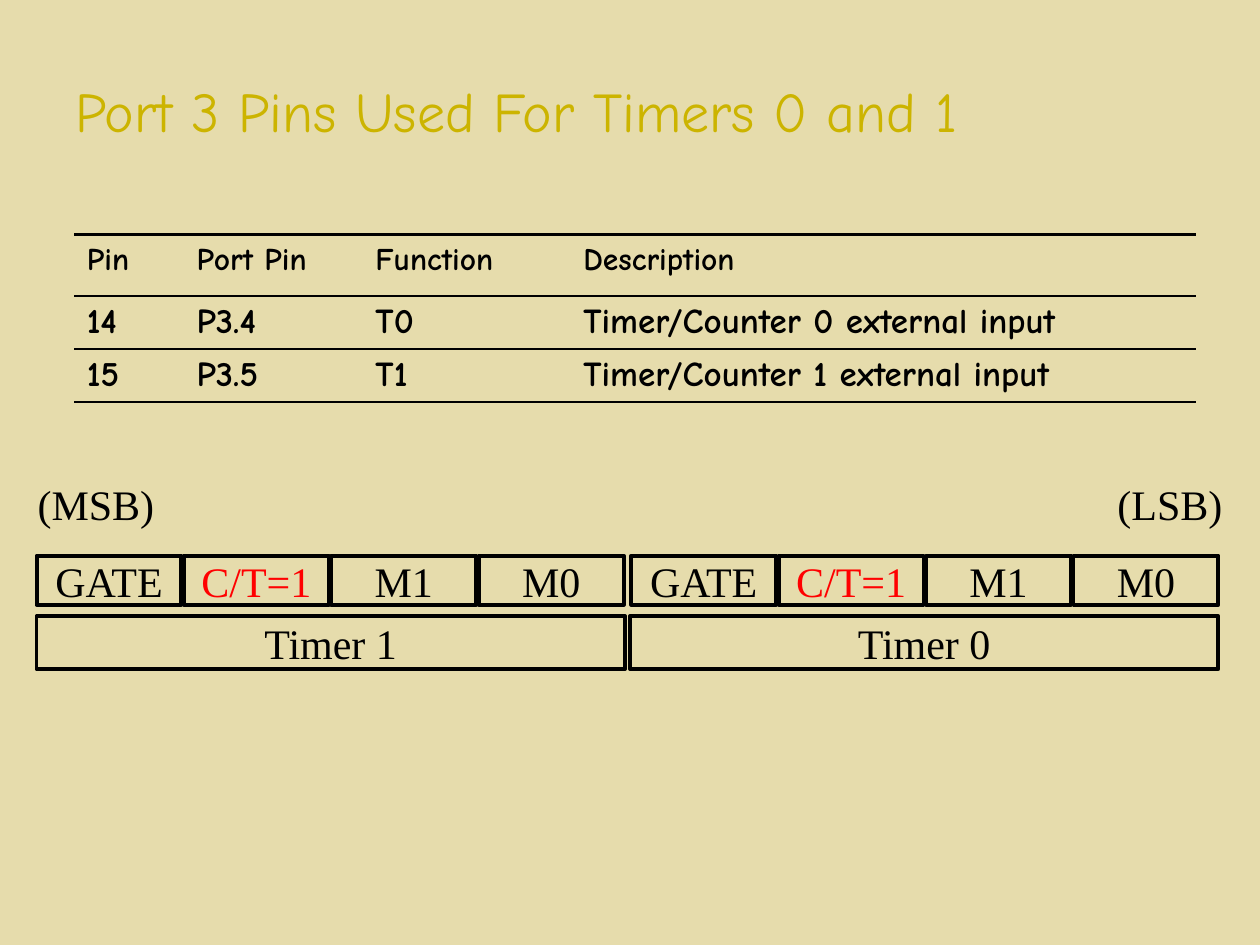
from lxml.etree import SubElement
from pptx import Presentation
from pptx.dml.color import RGBColor
from pptx.enum.shapes import MSO_CONNECTOR, MSO_SHAPE
from pptx.enum.text import MSO_ANCHOR, PP_ALIGN
from pptx.oxml.ns import qn
from pptx.util import Inches, Pt


def color(value):
    return RGBColor.from_string(value)


class SlideBuilder:
    title_font = "Comic Neue"
    body_font = "Times New Roman"
    black = "000000"
    red = "FF0000"
    gold = "CCB400"
    sand = "E6DCAC"

    def __init__(self, prs):
        self.slide = prs.slides.add_slide(prs.slide_layouts[5])
        fill = self.slide.background.fill
        fill.solid()
        fill.fore_color.rgb = color(self.sand)

    def style(self, p, size, name, rgb, bold=False, align=PP_ALIGN.LEFT):
        p.alignment = align
        p.font.size = Pt(size)
        p.font.name = name
        p.font.bold = bold
        p.font.color.rgb = color(rgb)

    def frame(self, tf, text, rgb, align, mx, my, anchor, wrap=True):
        tf.margin_left = tf.margin_right = Inches(mx)
        tf.margin_top = tf.margin_bottom = Inches(my)
        tf.vertical_anchor = anchor
        tf.word_wrap = wrap
        tf.text = text
        self.style(tf.paragraphs[0], 24, self.body_font, rgb, align=align)

    def title(self, text, x, y, w, h):
        sp = self.slide.shapes.title
        sp.left, sp.top, sp.width, sp.height = map(Inches, (x, y, w, h))
        tf = sp.text_frame
        tf.text = text
        tf.vertical_anchor = MSO_ANCHOR.MIDDLE
        self.style(tf.paragraphs[0], 32, self.title_font, self.gold)

    def border(self, cell):
        tc_pr = cell._tc.get_or_add_tcPr()
        for side in ("L", "R", "T", "B"):
            ln = SubElement(tc_pr, qn(f"a:ln{side}"), w=str(Pt(1.08)))
            if side in "LR":
                SubElement(ln, qn("a:noFill"))
            else:
                fill = SubElement(ln, qn("a:solidFill"))
                SubElement(fill, qn("a:srgbClr"), val=self.black)

    def table(self, rows, x, y, widths, heights):
        frame = self.slide.shapes.add_table(
            len(rows), len(widths), Inches(x), Inches(y),
            Inches(sum(widths)), Inches(sum(heights)))
        table = frame.table
        table.first_row = table.horz_banding = False
        for col, width in zip(table.columns, widths):
            col.width = Inches(width)
        for i, (row, height) in enumerate(zip(rows, heights)):
            table.rows[i].height = Inches(height)
            for j, text in enumerate(row):
                cell = table.cell(i, j)
                cell.text = text
                self.style(cell.text_frame.paragraphs[0], 20 if i else 18,
                           self.title_font, self.black, bold=True)
                self.border(cell)
                cell.fill.background()

    def line(self, x1, y1, x2, y2):
        cn = self.slide.shapes.add_connector(
            MSO_CONNECTOR.STRAIGHT, *map(Inches, (x1, y1, x2, y2)))
        cn.line.color.rgb = color(self.black)
        cn.line.width = Pt(2)
        SubElement(cn._element.spPr, qn("a:effectLst"))

    def box(self, text, x, y, w, h, rgb=black, mx=0, my=0, wrap=False):
        sp = self.slide.shapes.add_shape(
            MSO_SHAPE.RECTANGLE, *map(Inches, (x, y, w, h)))
        sp.shadow.inherit = False
        sp.fill.background()
        sp.line.color.rgb = color(self.black)
        sp.line.width = Pt(2.25)
        self.frame(sp.text_frame, text, rgb, PP_ALIGN.CENTER, mx, my,
                   MSO_ANCHOR.MIDDLE, wrap)

    def label(self, text, x, y, w, h, align):
        tb = self.slide.shapes.add_textbox(*map(Inches, (x, y, w, h)))
        self.frame(tb.text_frame, text, self.black, align, 0.1, 0.05,
                   MSO_ANCHOR.TOP)


def main():
    prs = Presentation()
    prs.slide_width, prs.slide_height = Inches(10), Inches(7.5)
    s = SlideBuilder(prs)

    s.title("Port 3 Pins Used For Timers 0 and 1", 0.5, 0.51, 9.23, 0.72)
    pins = [
        ("Pin", "Port Pin", "Function", "Description"),
        ("14", "P3.4", "T0", "Timer/Counter 0 external input"),
        ("15", "P3.5", "T1", "Timer/Counter 1 external input"),
    ]
    s.table(pins, 0.59, 1.87, (0.87, 1.42, 1.65, 4.96), (0.48, 0.37, 0.4))
    s.line(0.59, 1.86, 9.49, 1.86)

    bits = ("GATE", "C/T=1", "M1", "M0")
    timers = (("Timer 1", 0.29, 0.29), ("Timer 0", 5.01, 5))
    for timer, bits_left, timer_left in timers:
        for i, bit in enumerate(bits):
            rgb = s.red if bit == "C/T=1" else s.black
            s.box(bit, bits_left + 1.17 * i, 4.41, 1.15, 0.39, rgb)
        s.box(timer, timer_left, 4.89, 4.67, 0.42, mx=0.1, my=0.01, wrap=True)

    s.label("(MSB)", 0.2, 3.75, 1.53, 0.5, PP_ALIGN.LEFT)
    s.label("(LSB)", 8.27, 3.75, 1.53, 0.5, PP_ALIGN.RIGHT)
    prs.save("out.pptx")


if __name__ == "__main__":
    main()
